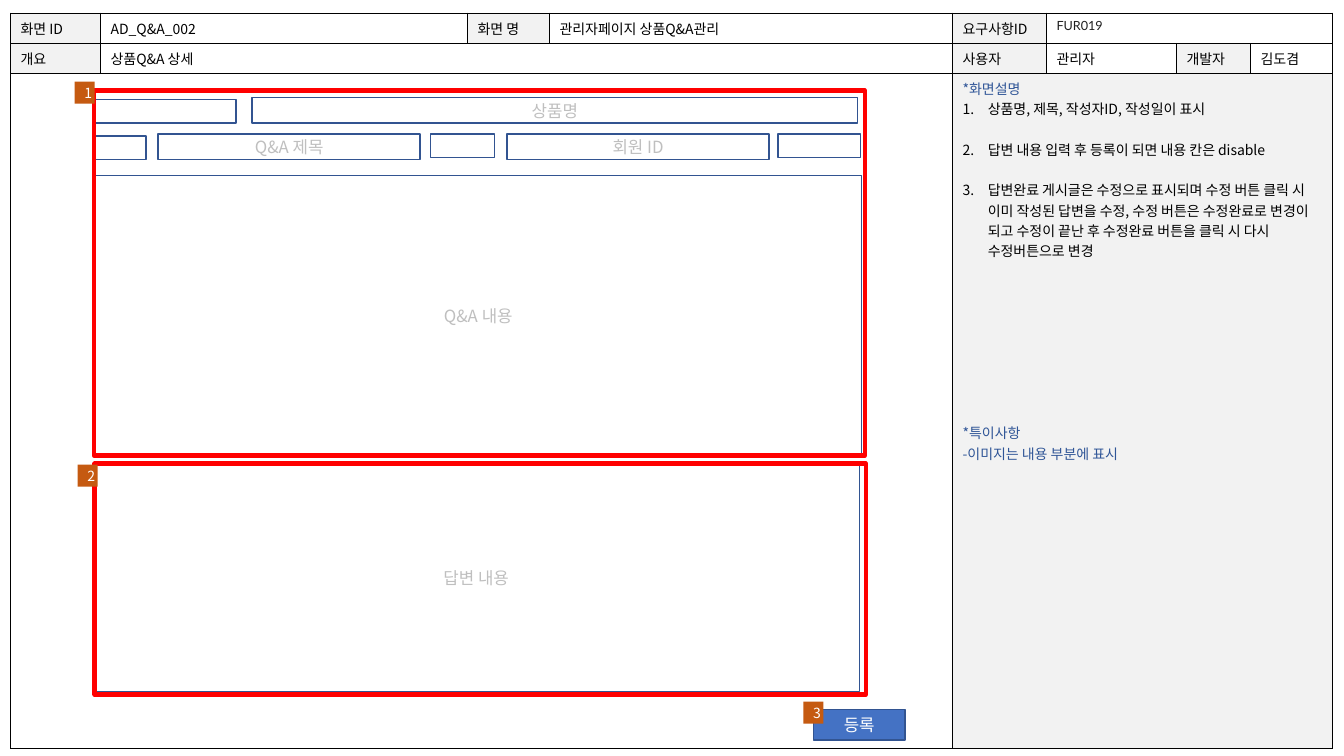
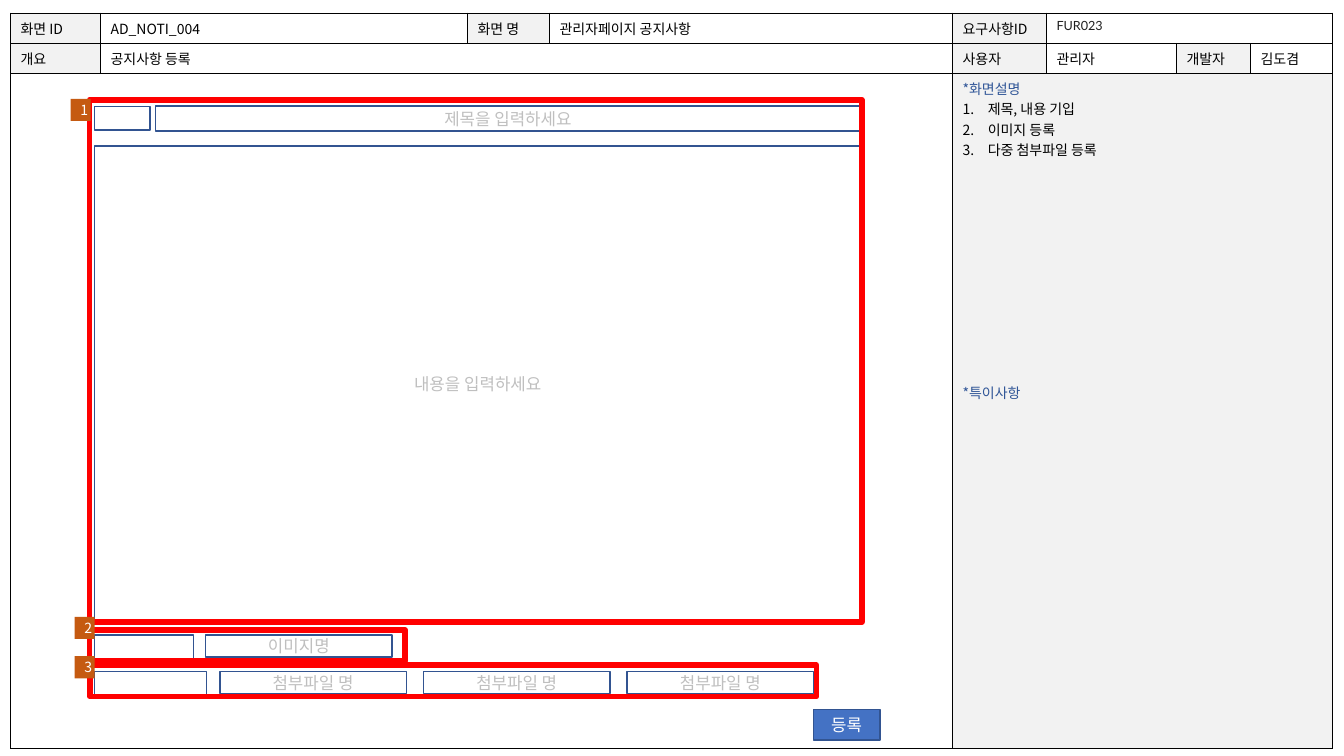
from lxml import etree
from pptx import Presentation
from pptx.dml.color import RGBColor
from pptx.enum import shapes, text
from pptx.oxml import ns
from pptx.util import Pt

# Shared style
BLACK = RGBColor(0x00, 0x00, 0x00)
INK = RGBColor(0x1F, 0x1F, 0x1F)
WHITE = RGBColor(0xFF, 0xFF, 0xFF)
LABEL_GREY = RGBColor(0xF2, 0xF2, 0xF2)
HINT_GREY = RGBColor(0xBF, 0xBF, 0xBF)
HEADING_BLUE = RGBColor(0x2F, 0x55, 0x97)
OUTLINE_BLUE = RGBColor(0x32, 0x54, 0x91)
BUTTON_BLUE = RGBColor(0x44, 0x72, 0xC4)
AREA_RED = RGBColor(0xFF, 0x00, 0x00)
BADGE_ORANGE = RGBColor(0xC5, 0x5A, 0x11)
KOREAN_FONT = "Noto Sans CJK KR"
CODE_FONT = "Lato"

# Layout, in points
TABLE_LEFT, TABLE_TOP = 7.5, 9.3
COLUMNS = [64.3, 262.1, 58.6, 287.9, 67.1, 92.9, 52.9, 58.6]
ROWS = [21.5, 21.5, 482]
MERGES = [(0, 5, 7), (1, 1, 3), (2, 0, 3), (2, 4, 7)]  # row, first, last column
LABEL_CELLS = {(0, 0), (0, 2), (0, 4), (1, 0), (1, 4), (1, 6), (2, 4)}
NOTE_LINE = 14.5
NOTE_INDENT = 18
BADGE_SIZE = (14.4, 15.8)
BUTTON_LEFT, BUTTON_TOP, BUTTON_HEIGHT = 581, 506.9, 21.6

# Content: fields are (hint, left, top, width, height);
# notes are (text, empty lines before it)
SCREENS = [
    {
        "id": "AD_Q&A_002",
        "name": "관리자페이지 상품Q&A관리",
        "summary": "상품Q&A 상세",
        "requirement": "FUR019",
        "notes": [
            ("상품명, 제목, 작성자ID, 작성일이 표시", 0),
            ("답변 내용 입력 후 등록이 되면 내용 칸은 disable", 1),
            ("답변완료 게시글은 수정으로 표시되며 수정 버튼 클릭 시 "
             "이미 작성된 답변을 수정, 수정 버튼은 수정완료로 변경이 되고 "
             "수정이 끝난 후 수정완료 버튼을 클릭 시 다시 수정버튼으로 변경", 1),
        ],
        "remarks": [("*특이사항", 8), ("-이미지는 내용 부분에 표시", 0)],
        "fields": [
            ("", 67.7, 71.3, 100.8, 16.6),
            ("상품명", 180, 69.8, 432.7, 18),
            ("", 67.7, 97.2, 36.7, 16.6),
            ("Q&A 제목", 113, 95.8, 187.2, 18),
            ("", 307.4, 95.8, 46.1, 16.6),
            ("회원 ID", 362.2, 95.8, 187.2, 18),
            ("", 555.8, 95.8, 59, 16.6),
            ("Q&A 내용", 67.7, 125.3, 547.9, 200.2),
            ("답변 내용", 66.2, 331.9, 547.9, 162),
        ],
        "button_width": 65.5,
        "area_line": 3.25,
        "areas": [(67, 64.8, 550.8, 260.6), (67.7, 331.2, 550.8, 164.9)],
        "badges": [(53.3, 58.3), (55.4, 331.9), (573.8, 501.1)],
    },
    {
        "id": "AD_NOTI_004",
        "name": "관리자페이지 공지사항",
        "summary": "공지사항 등록",
        "requirement": "FUR023",
        "notes": [("제목, 내용 기입", 0), ("이미지 등록", 0),
                  ("다중 첨부파일 등록", 0)],
        "remarks": [("*특이사항", 11)],
        "fields": [
            ("", 67.7, 76.3, 39.6, 16.6),
            ("제목을 입력하세요", 110.9, 75.6, 504, 18),
            ("내용을 입력하세요", 67.7, 104.4, 547.2, 339.8),
            ("", 67.7, 453.6, 70.6, 16.6),
            ("이미지명", 146.9, 453.6, 133.2, 15.8),
            ("", 67.7, 479.5, 79.9, 16.6),
            *[("첨부파일 명", 157 + 145.5 * i, 479.5, 133.2, 15.8)
              for i in range(3)],
        ],
        "button_width": 47.5,
        "area_line": 4,
        "areas": [(64.1, 71.3, 551.5, 373), (64.1, 450, 225.4, 22.3),
                  (64.1, 475.2, 519.1, 22.3)],
        "badges": [(50.4, 70.6), (53.3, 440.6), (53.3, 468.7)],
    },
]


def add_run(paragraph, words, size, color, font=KOREAN_FONT):
    run = paragraph.add_run()
    run.text = words
    run.font.size = Pt(size)
    run.font.name = font
    run.font.color.rgb = color
    east_asian = etree.SubElement(run._r.get_or_add_rPr(), ns.qn("a:ea"))
    east_asian.set("typeface", font)


def add_box(slide, box, fill=None, line=None, line_width=1,
            words="", size=12, color=HINT_GREY):
    shape = slide.shapes.add_shape(
        shapes.MSO_SHAPE.RECTANGLE, *[Pt(length) for length in box])
    shape.shadow.inherit = False
    if fill is None:
        shape.fill.background()
    else:
        shape.fill.solid()
        shape.fill.fore_color.rgb = fill
    if line is None:
        shape.line.fill.background()
    else:
        shape.line.color.rgb = line
        shape.line.width = Pt(line_width)
    if words:
        paragraph = shape.text_frame.paragraphs[0]
        paragraph.alignment = text.PP_ALIGN.CENTER
        add_run(paragraph, words, size, color)


def set_borders(cell, widths):
    properties = cell._tc.get_or_add_tcPr()
    for index, (side, width) in enumerate(widths.items()):
        line = etree.Element(ns.qn(f"a:ln{side}"), w=str(Pt(width)))
        fill = etree.SubElement(line, ns.qn("a:solidFill"))
        etree.SubElement(fill, ns.qn("a:srgbClr"), val=str(BLACK))
        properties.insert(index, line)


def number_paragraph(paragraph):
    properties = paragraph._p.get_or_add_pPr()
    properties.set("marL", str(Pt(NOTE_INDENT)))
    properties.set("indent", str(-Pt(NOTE_INDENT)))
    etree.SubElement(properties, ns.qn("a:buFont"), typeface="+mj-lt")
    etree.SubElement(properties, ns.qn("a:buAutoNum"), type="arabicPeriod")


def fill_notes(frame, screen):
    entries = [("*화면설명", 0, False)]
    entries += [(*note, True) for note in screen["notes"]]
    entries += [(*remark, False) for remark in screen["remarks"]]
    for index, (words, gap, numbered) in enumerate(entries):
        paragraph = frame.add_paragraph() if index else frame.paragraphs[0]
        paragraph.space_before = Pt(gap * NOTE_LINE)
        if numbered:
            number_paragraph(paragraph)
        add_run(paragraph, words, 10, BLACK if numbered else HEADING_BLUE)


def add_frame_table(slide, screen):
    table = slide.shapes.add_table(
        len(ROWS), len(COLUMNS), Pt(TABLE_LEFT), Pt(TABLE_TOP),
        Pt(sum(COLUMNS)), Pt(sum(ROWS))).table
    table.first_row = table.horz_banding = False
    for column, width in zip(table.columns, COLUMNS):
        column.width = Pt(width)
    for row, height in zip(table.rows, ROWS):
        row.height = Pt(height)

    # Fills and borders, with a heavier rule beside the notes
    for r in range(len(ROWS)):
        for c in range(len(COLUMNS)):
            cell = table.cell(r, c)
            cell.fill.solid()
            cell.fill.fore_color.rgb = (
                LABEL_GREY if (r, c) in LABEL_CELLS else WHITE)
            widths = dict.fromkeys("LRTB", 0.5)
            if r == 2 and c < 4:
                widths["R"] = 1
            elif r == 2:
                widths.update(L=1, B=1)
            set_borders(cell, widths)
    for row, first, last in MERGES:
        table.cell(row, first).merge(table.cell(row, last))

    # Header wording
    header = [
        {0: "화면 ID", 1: screen["id"], 2: "화면 명", 3: screen["name"],
         4: "요구사항ID"},
        {0: "개요", 1: screen["summary"], 4: "사용자", 5: "관리자",
         6: "개발자", 7: "김도겸"},
    ]
    for r, labels in enumerate(header):
        for c, words in labels.items():
            add_run(table.cell(r, c).text_frame.paragraphs[0],
                    words, 10, BLACK)
    add_run(table.cell(0, 5).text_frame.paragraphs[0],
            screen["requirement"], 9, INK, CODE_FONT)
    fill_notes(table.cell(2, 4).text_frame, screen)


def add_screen(presentation, screen):
    slide = presentation.slides.add_slide(presentation.slide_layouts[6])
    add_frame_table(slide, screen)

    # Wireframe fields and button
    for hint, *box in screen["fields"]:
        add_box(slide, box, WHITE, OUTLINE_BLUE, words=hint)
    button = (BUTTON_LEFT, BUTTON_TOP, screen["button_width"], BUTTON_HEIGHT)
    add_box(slide, button, BUTTON_BLUE, OUTLINE_BLUE, words="등록", color=WHITE)

    # Marked areas and their numbers
    for area in screen["areas"]:
        add_box(slide, area, line=AREA_RED, line_width=screen["area_line"])
    for number, corner in enumerate(screen["badges"], start=1):
        add_box(slide, (*corner, *BADGE_SIZE), BADGE_ORANGE,
                words=str(number), size=10, color=WHITE)


def main():
    presentation = Presentation()
    presentation.slide_width = Pt(960)
    presentation.slide_height = Pt(540)
    for screen in SCREENS:
        add_screen(presentation, screen)
    presentation.save("out.pptx")


if __name__ == "__main__":
    main()
